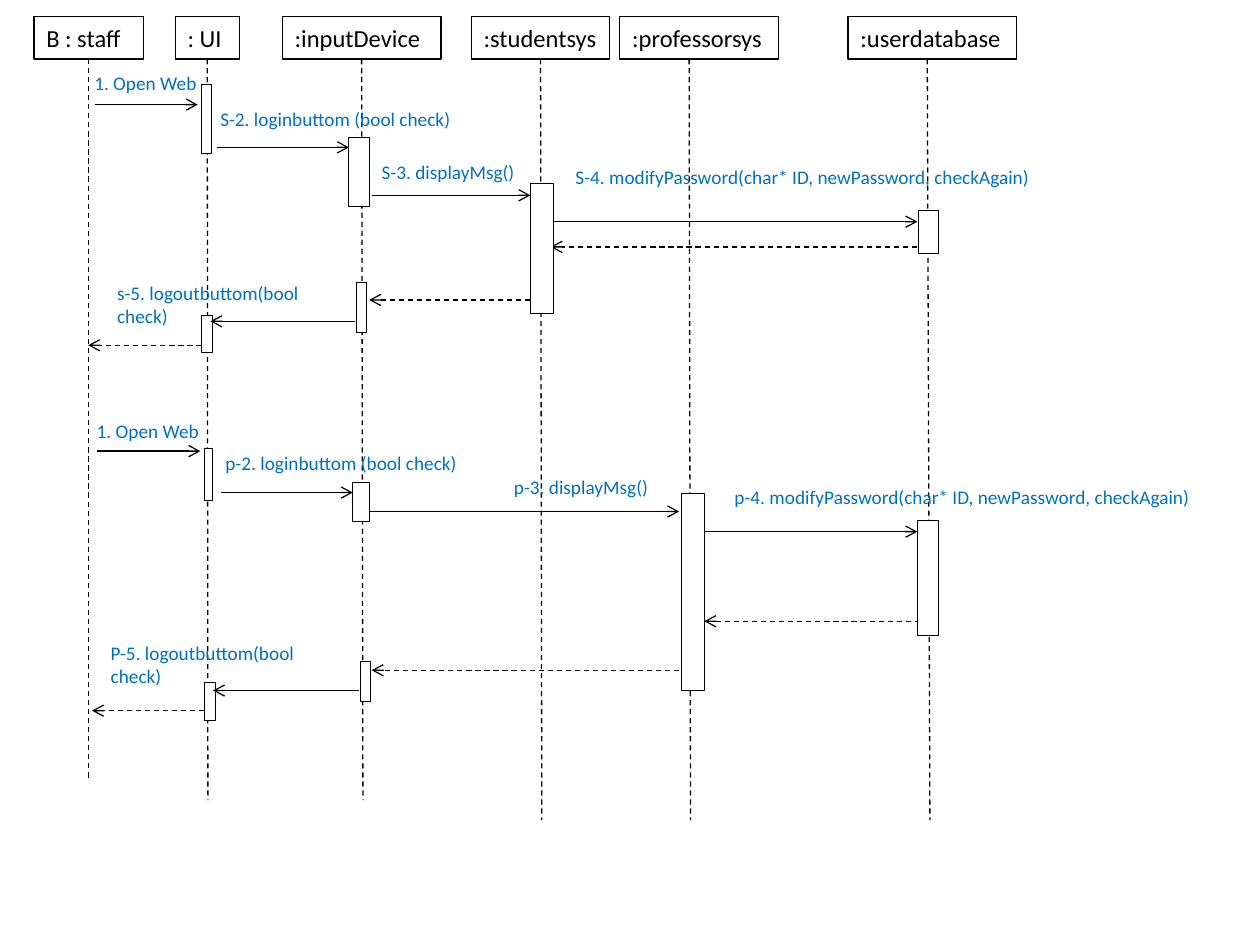
from dataclasses import dataclass

from lxml import etree
from pptx import Presentation
from pptx import util as u
from pptx.dml.color import RGBColor
from pptx.enum import dml, shapes, text
from pptx.oxml import ns


@dataclass(frozen=True)
class Theme:
    font: str = "Calibri"
    ink: RGBColor = RGBColor(0x00, 0x00, 0x00)
    label: RGBColor = RGBColor(0x00, 0x70, 0xC0)
    bar: RGBColor = RGBColor(0xFF, 0xFF, 0xFF)
    head_size: float = 14
    label_size: float = 11
    line: float = 0.75
    bar_line: float = 0.5


@dataclass(frozen=True)
class Participant:
    name: str
    left: float
    width: float
    foot_x: float
    foot_y: float
    start_x: float | None = None


@dataclass(frozen=True)
class Activation:
    left: float
    top: float
    width: float
    height: float


@dataclass(frozen=True)
class Message:
    start: float
    end: float
    y: float
    reply: bool = False


@dataclass(frozen=True)
class Label:
    wording: str
    left: float
    top: float
    width: float


THEME = Theme()
HEAD_TOP, HEAD_HEIGHT, LABEL_HEIGHT = 9.4, 24.4, 20.6

PARTICIPANTS = [
    Participant("B : staff", 19.4, 62.6, 50.7, 445.7),
    Participant(": UI", 100.1, 36.7, 118.8, 457.2),
    Participant(":inputDevice", 161.3, 90.7, 207.4, 457.2),
    Participant(":studentsys", 269.3, 79.2, 309.6, 468.7),
    Participant(":professorsys", 354.2, 90.7, 394.6, 468.7, 393.8),
    Participant(":userdatabase", 484.6, 96.5, 531.4, 468.7, 529.9),
]

MESSAGES_BEHIND_BARS = [
    Message(205.9, 388.1, 292.3),
    Message(524.2, 314.6, 141.1, True),
    Message(525.6, 402.5, 355, True),
]

ACTIVATIONS = [
    Activation(115.2, 48.2, 5.8, 39.6),
    Activation(199.4, 78.5, 11.5, 39.6),
    Activation(303.1, 105.1, 13, 74.2),
    Activation(524.9, 120.2, 11.5, 24.5),
    Activation(115.2, 180, 6.5, 21.6),
    Activation(203.8, 161.3, 5.8, 28.8),
    Activation(116.6, 256.3, 4.7, 29.5),
    Activation(201.6, 275.8, 9.4, 22.3),
    Activation(389.5, 282.2, 13, 112.3),
    Activation(116.6, 390.2, 6.5, 21.6),
    Activation(205.9, 378, 5.8, 23),
    Activation(524.2, 297.4, 12.2, 65.5),
]

MESSAGES = [
    Message(54, 113, 59.8),
    Message(123.8, 199.4, 84.2),
    Message(212.4, 303.1, 111.6),
    Message(316.1, 524.2, 126.7),
    Message(303.1, 211, 171.4, True),
    Message(203, 120.2, 183.6),
    Message(115.2, 50.4, 197.3, True),
    Message(55.4, 114.5, 257.8),
    Message(126, 201.6, 281.5),
    Message(402.5, 524.2, 303.8),
    Message(388.1, 212.4, 383),
    Message(205.2, 121.7, 394.6),
    Message(116.6, 52.6, 406.1, True),
]
MESSAGES[10] = Message(388.1, 212.4, 383, True)

LABELS = [
    Label("1. Open Web", 46.8, 37.4, 86.4),
    Label("S-2. loginbuttom (bool check)", 118.8, 57.6, 157.7),
    Label("S-3. displayMsg()", 211, 87.8, 96.5),
    Label("S-4. modifyPassword(char* ID, newPassword, checkAgain)", 321.8, 90.7, 299.5),
    Label("s-5. logoutbuttom(bool check)", 59.8, 157, 148.3),
    Label("1. Open Web", 48.2, 236.2, 86.4),
    Label("p-2. loginbuttom (bool check)", 121.7, 254.2, 157.7),
    Label("p-3. displayMsg()", 286.6, 267.8, 96.5),
    Label("p-4. modifyPassword(char* ID, newPassword, checkAgain)", 412.6, 273.6, 299.5),
    Label("P-5. logoutbuttom(bool check)", 56.2, 362.9, 148.3),
]


def write(box, wording: str, *, size: float, color: RGBColor) -> None:
    frame = box.text_frame
    frame.word_wrap = True
    frame.auto_size = text.MSO_AUTO_SIZE.SHAPE_TO_FIT_TEXT
    frame.vertical_anchor = text.MSO_ANCHOR.TOP
    para = frame.paragraphs[0]
    para.alignment = text.PP_ALIGN.LEFT
    span = para.add_run()
    span.text = wording
    span.font.name = THEME.font
    span.font.size = u.Pt(size)
    span.font.color.rgb = color


def draw_box(page, left: float, top: float, width: float, height: float,
             *, line: float, fill: RGBColor | None = None):
    box = page.shapes.add_shape(shapes.MSO_SHAPE.RECTANGLE,
                                u.Pt(left), u.Pt(top), u.Pt(width), u.Pt(height))
    box.shadow.inherit = False
    if fill is None:
        box.fill.background()
    else:
        box.fill.solid()
        box.fill.fore_color.rgb = fill
    box.line.color.rgb = THEME.ink
    box.line.width = u.Pt(line)
    return box


def draw_line(page, x1: float, y1: float, x2: float, y2: float,
              *, dashed: bool = False, arrow: bool = False):
    line = page.shapes.add_connector(shapes.MSO_CONNECTOR.STRAIGHT,
                                     u.Pt(x1), u.Pt(y1), u.Pt(x2), u.Pt(y2))
    line.line.color.rgb = THEME.ink
    line.line.width = u.Pt(THEME.line)
    if dashed:
        line.line.dash_style = dml.MSO_LINE.DASH
    properties = line._element.spPr
    if arrow:
        outline = properties.find(ns.qn("a:ln"))
        etree.SubElement(outline, ns.qn("a:tailEnd"), type="arrow")
    etree.SubElement(properties, ns.qn("a:effectLst"))
    return line


def draw_participant(page, person: Participant) -> None:
    head = draw_box(page, person.left, HEAD_TOP, person.width, HEAD_HEIGHT, line=THEME.line)
    write(head, person.name, size=THEME.head_size, color=THEME.ink)
    start_x = person.start_x or person.left + person.width / 2
    lifeline = draw_line(page, start_x, HEAD_TOP + HEAD_HEIGHT,
                         person.foot_x, person.foot_y, dashed=True)
    if person.start_x is None:
        lifeline.begin_connect(head, 2)


def draw_messages(page, messages: list[Message]) -> None:
    for message in messages:
        draw_line(page, message.start, message.y, message.end, message.y,
                  dashed=message.reply, arrow=True)


def draw_label(page, label: Label) -> None:
    box = page.shapes.add_textbox(u.Pt(label.left), u.Pt(label.top),
                                  u.Pt(label.width), u.Pt(LABEL_HEIGHT))
    write(box, label.wording, size=THEME.label_size, color=THEME.label)


def main() -> None:
    deck = Presentation()
    deck.slide_width, deck.slide_height = u.Pt(720), u.Pt(540)
    page = deck.slides.add_slide(deck.slide_layouts[6])
    for person in PARTICIPANTS:
        draw_participant(page, person)
    draw_messages(page, MESSAGES_BEHIND_BARS)
    for bar in ACTIVATIONS:
        draw_box(page, bar.left, bar.top, bar.width, bar.height,
                 line=THEME.bar_line, fill=THEME.bar)
    draw_messages(page, MESSAGES)
    for label in LABELS:
        draw_label(page, label)
    deck.save("out.pptx")


if __name__ == "__main__":
    main()
